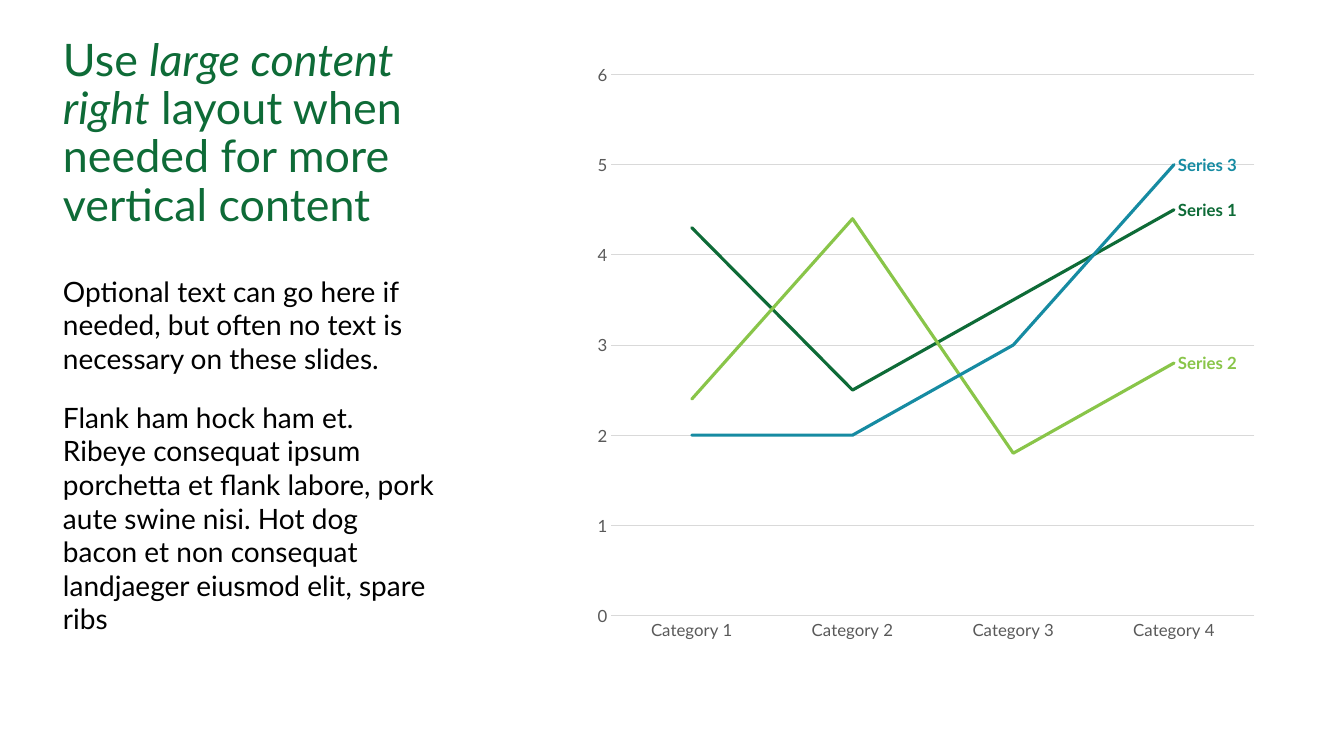
"""Build a slide with a title and text on the left and a large line chart on the right."""
import pptx
import pptx.chart.data
import pptx.dml.color
import pptx.enum.chart
import pptx.enum.text
import pptx.oxml
import pptx.oxml.ns
import pptx.util

Pt = pptx.util.Pt
RGBColor = pptx.dml.color.RGBColor

FONT = "Lato"
GREEN = RGBColor(0x0E, 0x6B, 0x37)
LIME = RGBColor(0x89, 0xC5, 0x49)
TEAL = RGBColor(0x16, 0x8B, 0xA2)
BLACK = RGBColor(0, 0, 0)
GRAY = RGBColor(0x59, 0x59, 0x59)
GRID = RGBColor(0xD9, 0xD9, 0xD9)

TITLE = [
    ("Use ", False),
    ("large content right", True),
    (" layout when needed for more vertical content", False),
]
BODY = [
    "Optional text can go here if needed, but often no text is necessary on these slides.",
    "Flank ham hock ham et. Ribeye consequat ipsum porchetta et flank labore, pork aute "
    "swine nisi. Hot dog bacon et non consequat landjaeger eiusmod elit, spare ribs",
]
CATEGORIES = ["Category 1", "Category 2", "Category 3", "Category 4"]
SERIES = [
    ("Series 1", (4.3, 2.5, 3.5, 4.5), GREEN),
    ("Series 2", (2.4, 4.4, 1.8, 2.8), LIME),
    ("Series 3", (2, 2, 3, 5), TEAL),
]

SLIDE_SIZE = (960, 540)
TITLE_BOX = (45, 26.64, 266.4, 126)
BODY_BOX = (45, 195.84, 266.4, 263.52)
CHART_BOX = (404.64, 26.64, 509.76, 450)
PLOT = {"x": 0.063, "y": 0.059, "w": 0.901, "h": 0.859}


def style_font(font, size, color, bold=False):
    font.name = FONT
    font.size = Pt(size)
    font.bold = bold
    font.color.rgb = color


def add_text_box(slide, box):
    tf = slide.shapes.add_textbox(*map(Pt, box)).text_frame
    tf.word_wrap = True
    tf.vertical_anchor = pptx.enum.text.MSO_ANCHOR.TOP
    tf.margin_left = tf.margin_top = tf.margin_right = tf.margin_bottom = 0
    return tf


def add_title(slide):
    p = add_text_box(slide, TITLE_BOX).paragraphs[0]
    p.line_spacing = 0.9
    for text, italic in TITLE:
        r = p.add_run()
        r.text = text
        style_font(r.font, 32, GREEN)
        r.font.italic = italic


def add_body(slide):
    tf = add_text_box(slide, BODY_BOX)
    tf.text = "\n".join(BODY)
    for p in tf.paragraphs:
        p.space_before = Pt(18)
        style_font(p.runs[0].font, 20, BLACK)


def style_axes(chart):
    for axis in (chart.category_axis, chart.value_axis):
        axis.major_tick_mark = pptx.enum.chart.XL_TICK_MARK.NONE
        axis.minor_tick_mark = pptx.enum.chart.XL_TICK_MARK.NONE
        style_font(axis.tick_labels.font, 12, GRAY)
    values = chart.value_axis
    values.minimum_scale, values.maximum_scale, values.major_unit = 0, 6, 1
    values.format.line.fill.background()
    for line in (chart.category_axis.format.line, values.major_gridlines.format.line):
        line.color.rgb = GRID
        line.width = Pt(0.75)


def style_series(series, color):
    series.smooth = False
    series.marker.style = pptx.enum.chart.XL_MARKER_STYLE.NONE
    series.format.line.color.rgb = color
    series.format.line.width = Pt(2.25)
    series._element.xpath("c:spPr/a:ln")[0].set("cap", "rnd")
    label = series.points[len(CATEGORIES) - 1].data_label
    style_font(label.font, 12, color, bold=True)
    label.position = pptx.enum.chart.XL_LABEL_POSITION.RIGHT
    for flag in series._element.xpath(".//c:showVal"):
        flag.set("val", "0")
    for flag in series._element.xpath(".//c:dLbl/c:showSerName"):
        flag.set("val", "1")


def set_plot_layout(chart):
    sizes = "".join(f'<c:{key} val="{value}"/>' for key, value in PLOT.items())
    layout = pptx.oxml.parse_xml(
        f'<c:layout {pptx.oxml.ns.nsdecls("c")}><c:manualLayout>'
        '<c:layoutTarget val="inner"/><c:xMode val="edge"/><c:yMode val="edge"/>'
        f"{sizes}</c:manualLayout></c:layout>"
    )
    plot_area = chart._chartSpace.xpath("c:chart/c:plotArea")[0]
    for old in plot_area.xpath("c:layout"):
        plot_area.remove(old)
    plot_area.insert(0, layout)


def add_line_chart(slide):
    data = pptx.chart.data.CategoryChartData()
    data.categories = CATEGORIES
    for name, values, _ in SERIES:
        data.add_series(name, values)
    chart = slide.shapes.add_chart(
        pptx.enum.chart.XL_CHART_TYPE.LINE, *map(Pt, CHART_BOX), data
    ).chart
    chart.has_legend = False
    chart.has_title = False
    style_font(chart.font, 10, BLACK)
    chart.plots[0].vary_by_categories = False
    style_axes(chart)
    for series, (_, _, color) in zip(chart.plots[0].series, SERIES):
        style_series(series, color)
    set_plot_layout(chart)


def main():
    prs = pptx.Presentation()
    prs.slide_width, prs.slide_height = map(Pt, SLIDE_SIZE)
    slide = prs.slides.add_slide(prs.slide_layouts[6])
    add_title(slide)
    add_body(slide)
    add_line_chart(slide)
    prs.save("out.pptx")


if __name__ == "__main__":
    main()
